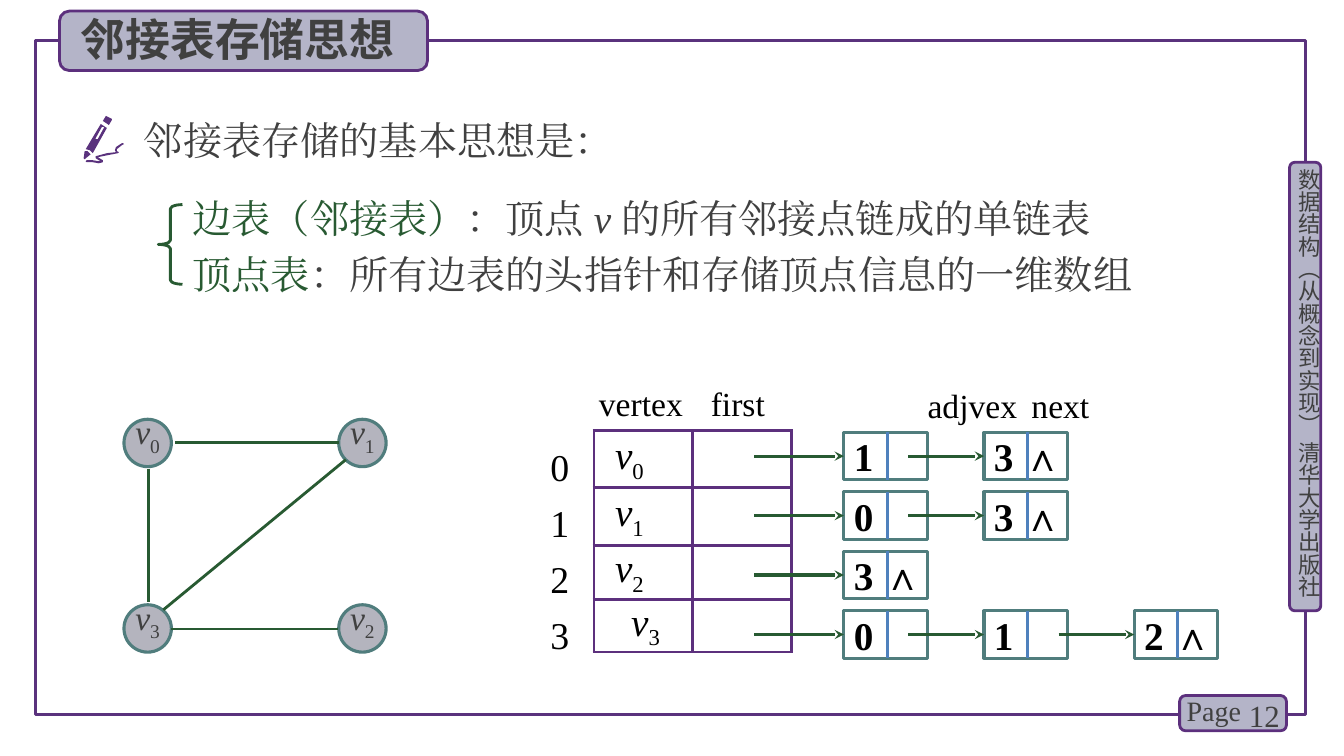
from dataclasses import dataclass
from typing import Any, Optional

from lxml import etree
from pptx import Presentation, util as u
from pptx.dml import color as dc
from pptx.enum import shapes as es, text as et
from pptx.oxml import ns

INK, BLACK, GREEN, TEAL = "404040", "000000", "285A32", "507D7D"
PURPLE, VIOLET, BLUE = "5C307D", "5A327D", "4F81BD"
LILAC, GREY = "B4B4C8", "B4B4BE"
TIMES, SANS = "Times New Roman", "Noto Sans CJK SC"
LEFT, MID = et.PP_ALIGN.LEFT, et.PP_ALIGN.CENTER
Box = tuple[float, float, float, float]
Spot = tuple[float, float]


@dataclass
class Run:
    words: str
    size: float = 28
    tint: str = INK
    font: str = TIMES
    bold: bool = False
    slant: bool = False
    sub: bool = False


@dataclass
class Plate:
    box: Box
    kind: Any
    line: str
    fill: Optional[str] = None
    width: float = 2


@dataclass
class Label:
    box: Box
    run: Run
    pads: Box = (0, 0.05, 0, 0.05)
    align: Any = LEFT


@dataclass
class Vertex:
    name: str
    left: float
    top: float


def paint(part: Any, tint: str) -> None:
    part.rgb = dc.RGBColor.from_string(tint)


def inch(box: tuple) -> list:
    return [u.Inches(n) for n in box]


def symbol(name: str, size: float, tint: str) -> list[Run]:
    return [Run("v", size, tint, slant=True), Run(name, size, tint, sub=True)]


def write(frame: Any, paras: list[list[Run]], pads: Box = (0.1, 0.05, 0.1, 0.05),
          align: Any = LEFT, space: Any = None, wrap: bool = True) -> None:
    frame.word_wrap, frame.auto_size = wrap, et.MSO_AUTO_SIZE.NONE
    (frame.margin_left, frame.margin_top,
     frame.margin_right, frame.margin_bottom) = inch(pads)
    for i, runs in enumerate(paras):
        para = frame.add_paragraph() if i else frame.paragraphs[0]
        para.alignment = align
        para.space_before = u.Pt(0)
        if space:
            para.line_spacing = space
        for item in runs:
            run = para.add_run()
            run.text = item.words
            font = run.font
            font.size, font.name = u.Pt(item.size), item.font
            font.bold, font.italic = item.bold, item.slant
            paint(font.color, item.tint)
            props = run._r.get_or_add_rPr()
            etree.SubElement(props, ns.qn("a:ea"), typeface=item.font)
            if item.sub:
                props.set("baseline", "-25000")


def plate(slide: Any, item: Plate) -> Any:
    shape = slide.shapes.add_shape(item.kind, *inch(item.box))
    shape.shadow.inherit = False
    if item.fill:
        shape.fill.solid()
        paint(shape.fill.fore_color, item.fill)
    else:
        shape.fill.background()
    paint(shape.line.color, item.line)
    shape.line.width = u.Pt(item.width)
    shape.text_frame.vertical_anchor = et.MSO_ANCHOR.TOP
    return shape


def label(slide: Any, item: Label) -> Any:
    shape = slide.shapes.add_textbox(*inch(item.box))
    write(shape.text_frame, [[item.run]], item.pads, item.align)
    return shape


def link(slide: Any, start: Spot, end: Spot, tint: str, width: float = 2,
         goal: Any = None) -> None:
    line = slide.shapes.add_connector(es.MSO_CONNECTOR.STRAIGHT, *inch(start + end))
    paint(line.line.color, tint)
    line.line.width = u.Pt(width)
    props = line._element.spPr
    if goal is not None:
        line.end_connect(goal, 1)
        etree.SubElement(props.find(ns.qn("a:ln")), ns.qn("a:tailEnd"), type="stealth")
    etree.SubElement(props, ns.qn("a:effectLst"))


def pen(slide: Any) -> None:
    tip = [[(90, 153), (87, 150), (84, 150), (83, 157), (84, 158)]]
    cap = [[(108, 124), (111, 119), (111, 118), (105, 115), (102, 120)]]
    shaft = [[(92, 152), (106, 127), (100, 123), (85, 148), (89, 149)],
             [(95, 137), (101, 126), (103, 126), (103, 127), (97, 138), (95, 138)]]
    trail = [[(122, 142), (121, 142), (115, 146), (114, 149), (115, 151), (106, 152),
              (95, 155), (95, 157), (98, 159), (100, 160), (98, 160), (92, 159),
              (86, 159), (85, 160), (86, 161), (92, 161), (98, 162), (102, 161),
              (102, 159), (97, 156), (107, 154), (117, 152), (118, 151), (116, 150),
              (116, 148), (121, 144), (123, 143)]]
    for loops in (cap, tip, shaft, trail):
        form = slide.shapes.build_freeform(*loops[0][0], scale=u.Inches(0.01))
        form.add_line_segments(loops[0][1:])
        for loop in loops[1:]:
            form.move_to(*loop[0])
            form.add_line_segments(loop[1:])
        shape = form.convert_to_shape()
        shape.shadow.inherit = False
        shape.fill.solid()
        paint(shape.fill.fore_color, VIOLET)
        shape.line.fill.background()


def graph(slide: Any) -> None:
    left, right, top, low = 1.23, 3.36, 4.16, 6
    for item in (Vertex("0", left, top), Vertex("1", right, top),
                 Vertex("2", right, low), Vertex("3", left, low)):
        shape = plate(slide, Plate((item.left, item.top, 0.47, 0.47),
                                   es.MSO_SHAPE.OVAL, TEAL, GREY, 2.25))
        write(shape.text_frame, [symbol(item.name, 24, INK)], (0, 0, 0, 0),
              MID, u.Pt(22), False)
    for start, end in (((1.74, 4.39), (3.36, 4.39)), ((1.47, 4.65), (1.47, 5.97)),
                       ((3.43, 4.56), (1.62, 6.05)), ((1.7, 6.24), (3.35, 6.24))):
        link(slide, start, end, GREEN)


def heads(slide: Any) -> None:
    frame = slide.shapes.add_table(4, 2, *inch((5.89, 4.27, 1.96, 2.2)))
    table = frame.table
    table.first_row = table.horz_banding = False
    for row, high in zip(table.rows, (0.57, 0.57, 0.54, 0.52)):
        row.height = u.Inches(high)
    for i in range(4):
        cell = table.cell(i, 0)
        write(cell.text_frame, [symbol(str(i), 28, BLACK)])
        cell.margin_left = u.Inches(0.37 if i == 3 else 0.21)
    for cell in table.iter_cells():
        cell.margin_top = cell.margin_bottom = 0
        cell.vertical_anchor = et.MSO_ANCHOR.MIDDLE
        cell.fill.background()
        props = cell._tc.get_or_add_tcPr()
        for i, side in enumerate(("lnL", "lnR", "lnT", "lnB")):
            edge = etree.Element(ns.qn("a:" + side), w=str(u.Pt(2.25)))
            fill = etree.SubElement(edge, ns.qn("a:solidFill"))
            etree.SubElement(fill, ns.qn("a:srgbClr"), val=PURPLE)
            props.insert(i, edge)
    marks = slide.shapes.add_textbox(*inch((5.46, 4.3, 0.43, 1.96)))
    write(marks.text_frame, [[Run(str(i), 27, BLACK)] for i in range(4)],
          (0, 0, 0, 0), LEFT, u.Pt(40))


def chains(slide: Any) -> None:
    wide, high = 0.83, 0.47
    for row, chain in enumerate(("13", "03", "3", "012")):
        top = 4.29 + 0.59 * row
        mid = top + high / 2
        for i, (value, left) in enumerate(zip(chain, (8.37, 9.76, 11.25))):
            last = i == len(chain) - 1
            node = plate(slide, Plate((left, top, wide, high),
                                      es.MSO_SHAPE.RECTANGLE, TEAL, width=2.25))
            words = value + " ∧" if last else value
            write(node.text_frame, [[Run(words, 28, BLACK, bold=True)]], (0.1, 0, 0, 0))
            link(slide, (left + 0.43, top), (left + 0.43, top + high), BLUE, 2.25)
            start = left - (0.75 if i else 0.89)
            link(slide, (start, mid), (left, mid), GREEN, 2.25, node)


def main() -> None:
    deck = Presentation()
    deck.slide_width, deck.slide_height = inch((13.33, 7.5))
    slide = deck.slides.add_slide(deck.slide_layouts[1])
    title, body = slide.shapes.title, slide.placeholders[1]
    bar = es.MSO_SHAPE.ROUNDED_RECTANGLE
    for item in (Plate((0.35, 0.4, 12.6, 6.69), es.MSO_SHAPE.RECTANGLE, VIOLET, width=2.25),
                 Plate((12.79, 1.61, 0.31, 4.45), bar, PURPLE, LILAC),
                 Plate((11.7, 6.9, 1.06, 0.35), bar, PURPLE, LILAC),
                 Plate((0.59, 0.11, 3.65, 0.59), bar, PURPLE, LILAC)):
        plate(slide, item)
    side = label(slide, Label((12.85, 1.67, 0.27, 4.49),
                              Run("数据结构（从概念到实现） 清华大学出版社", 16, font=SANS),
                              (0, 0, 0, 0)))
    side.text_frame._txBody.bodyPr.set("vert", "eaVert")
    pads = (0.1, 0.05, 0.1, 0.05)
    for item in (Label((12.2, 6.86, 0.59, 0.4), Run("12", 22), pads, et.PP_ALIGN.RIGHT),
                 Label((11.67, 6.83, 0.78, 0.44), Run("Page", 20), pads),
                 Label((1.33, 1.1, 10.97, 0.57), Run("邻接表存储的基本思想是："), pads),
                 Label((5.94, 3.75, 1.01, 0.5), Run("vertex", 24, BLACK)),
                 Label((7.05, 3.75, 0.8, 0.5), Run("first", 24, BLACK)),
                 Label((9.2, 3.77, 1.05, 0.5), Run("adjvex", 24, BLACK)),
                 Label((10.23, 3.77, 1.05, 0.5), Run("next", 24, BLACK))):
        label(slide, item)

    title.left, title.top, title.width, title.height = inch((0.7, 0.06, 3.43, 0.64))
    write(title.text_frame, [[Run("邻接表存储思想", 32, font=SANS, bold=True)]])
    slide.shapes._spTree.append(title._element)
    body.left, body.top, body.width, body.height = inch((1.91, 1.78, 10.07, 1.23))
    write(body.text_frame,
          [[Run("边表（邻接表）", tint=GREEN), Run("：顶点 "), Run("v ", slant=True),
            Run("的所有邻接点链成的单链表")],
           [Run("顶点表", tint=GREEN), Run("：所有边表的头指针和存储顶点信息的一维数组")]],
          (0, 0.05, 0, 0.05), LEFT, 1.2)
    for para in body.text_frame.paragraphs:
        props = para._p.get_or_add_pPr()
        props.set("marL", "0")
        props.set("indent", "0")
        etree.SubElement(props, ns.qn("a:buNone"))

    brace = plate(slide, Plate((1.57, 2.03, 0.24, 0.79), es.MSO_SHAPE.LEFT_BRACE, GREEN))
    brace.adjustments[0] = 0.17
    pen(slide)
    graph(slide)
    heads(slide)
    chains(slide)
    deck.save("out.pptx")


if __name__ == "__main__":
    main()
